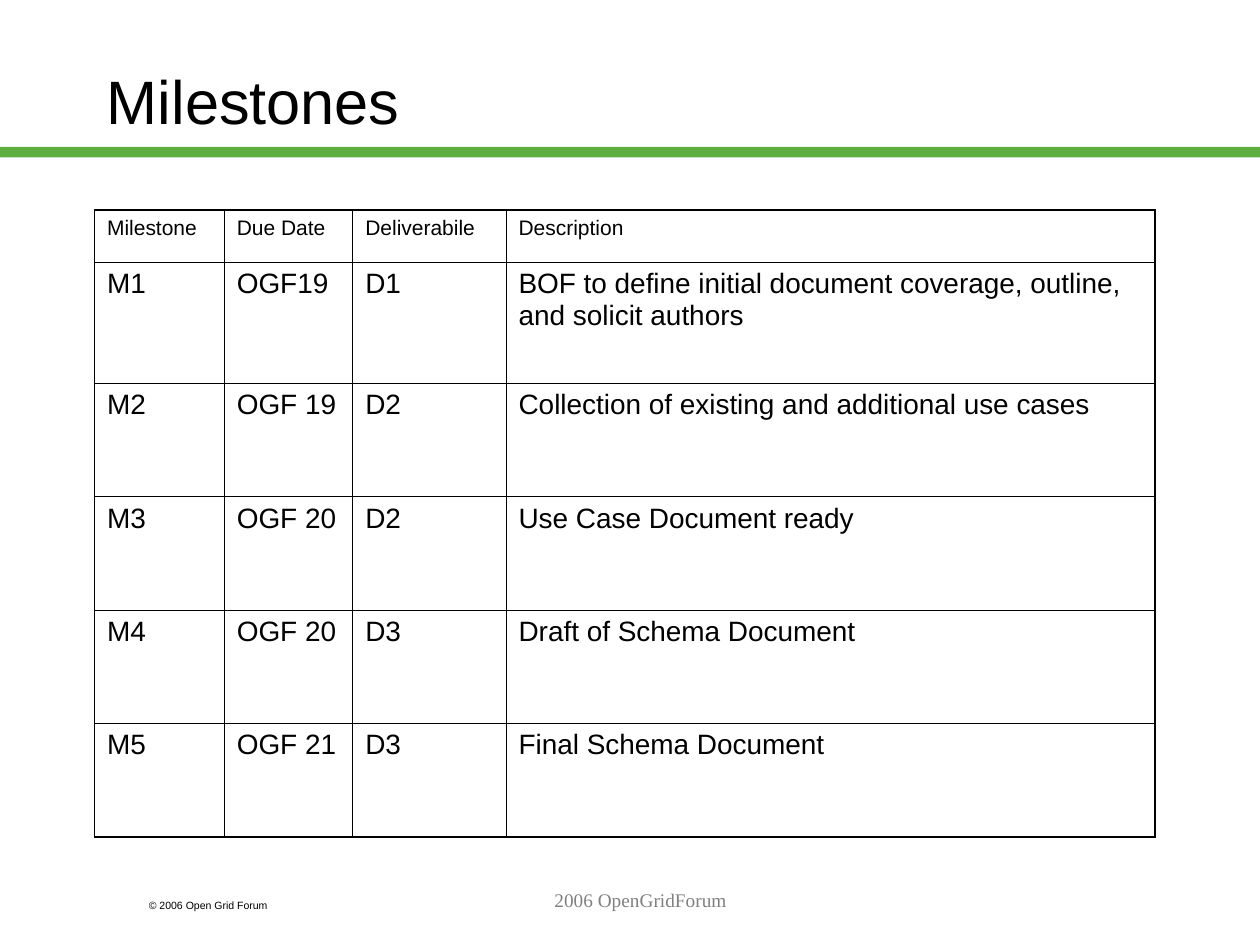
from dataclasses import dataclass

from lxml import etree
from pptx import Presentation
from pptx import util as u
from pptx.dml.color import RGBColor
from pptx.enum import shapes, text
from pptx.oxml import ns


@dataclass(frozen=True)
class Theme:
    black: str = "000000"
    green: str = "5DAD41"
    grey: str = "808080"
    sans: str = "Arial"
    serif: str = "Times New Roman"
    title_size: float = 35
    body_size: float = 16
    header_size: float = 12
    footer_size: float = 11
    copyright_size: float = 6
    outer_line: float = 1.08
    inner_line: float = 0.45


class SlideBuilder:
    GRID_COLUMNS = 120
    GRID_ROWS = 90

    def __init__(self, presentation, theme):
        self.theme = theme
        self.column = presentation.slide_width / self.GRID_COLUMNS
        self.row = presentation.slide_height / self.GRID_ROWS
        self.slide = presentation.slides.add_slide(presentation.slide_layouts[6])

    def area(self, left, top, width, height):
        return (round(left * self.column), round(top * self.row),
                round(width * self.column), round(height * self.row))

    def add_words(self, frame, words, size, font=None, color=None,
                  align=text.PP_ALIGN.LEFT):
        paragraph = frame.paragraphs[0]
        paragraph.alignment = align
        run = paragraph.add_run()
        run.text = words
        run.font.size = u.Pt(size)
        run.font.name = font or self.theme.sans
        run.font.color.rgb = RGBColor.from_string(color or self.theme.black)

    def bar(self, area, color):
        shape = self.slide.shapes.add_shape(
            shapes.MSO_SHAPE.RECTANGLE, *self.area(*area))
        shape.shadow.inherit = False
        shape.fill.solid()
        shape.fill.fore_color.rgb = RGBColor.from_string(color)
        shape.line.fill.background()

    def textbox(self, area, words, size, anchor=text.MSO_ANCHOR.TOP, **style):
        frame = self.slide.shapes.add_textbox(*self.area(*area)).text_frame
        frame.word_wrap = True
        frame.vertical_anchor = anchor
        self.add_words(frame, words, size, **style)

    def borders(self, cell, widths):
        properties = cell._tc.get_or_add_tcPr()
        for position, (side, width) in enumerate(widths.items()):
            line = etree.Element(ns.qn(f"a:ln{side}"), w=str(u.Pt(width)))
            fill = etree.SubElement(line, ns.qn("a:solidFill"))
            etree.SubElement(fill, ns.qn("a:srgbClr"), val=self.theme.black)
            properties.insert(position, line)

    def table(self, left, top, widths, heights, rows):
        area = self.area(left, top, sum(widths), sum(heights))
        table = self.slide.shapes.add_table(len(rows), len(widths), *area).table
        table.first_row = False
        table.horz_banding = False
        for column, width in zip(table.columns, widths):
            column.width = round(width * self.column)
        for row, height in zip(table.rows, heights):
            row.height = round(height * self.row)

        def weight(is_edge):
            return self.theme.outer_line if is_edge else self.theme.inner_line

        for r, row in enumerate(rows):
            size = self.theme.body_size if r else self.theme.header_size
            for c, words in enumerate(row):
                cell = table.cell(r, c)
                cell.fill.background()
                self.add_words(cell.text_frame, words, size)
                self.borders(cell, {
                    "L": weight(c == 0),
                    "R": weight(c == len(widths) - 1),
                    "T": weight(r == 0),
                    "B": weight(r == len(rows) - 1),
                })


MILESTONES = [
    ("Milestone", "Due Date", "Deliverabile", "Description"),
    ("M1", "OGF19", "D1",
     "BOF to define initial document coverage, outline, and solicit authors"),
    ("M2", "OGF 19", "D2", "Collection of existing and additional use cases"),
    ("M3", "OGF 20", "D2", "Use Case Document ready"),
    ("M4", "OGF 20", "D3", "Draft of Schema Document"),
    ("M5", "OGF 21", "D3", "Final Schema Document"),
]


def main():
    presentation = Presentation()
    presentation.slide_width = u.Inches(10)
    presentation.slide_height = u.Inches(7.5)
    theme = Theme()
    builder = SlideBuilder(presentation, theme)
    builder.bar((0, 14, builder.GRID_COLUMNS, 1), theme.green)
    builder.textbox((13, 85, 18, 2.4), "© 2006 Open Grid Forum",
                    theme.copyright_size)
    builder.textbox((9, 2, 102, 15), "Milestones", theme.title_size,
                    anchor=text.MSO_ANCHOR.MIDDLE)
    builder.table(9, 20, [12.36, 12.24, 14.6, 61.8],
                  [5, 11.5] + [10.8] * 4, MILESTONES)
    builder.textbox((26, 84, 70, 6), "2006 OpenGridForum", theme.footer_size,
                    font=theme.serif, color=theme.grey,
                    align=text.PP_ALIGN.CENTER)
    presentation.save("out.pptx")


if __name__ == "__main__":
    main()
